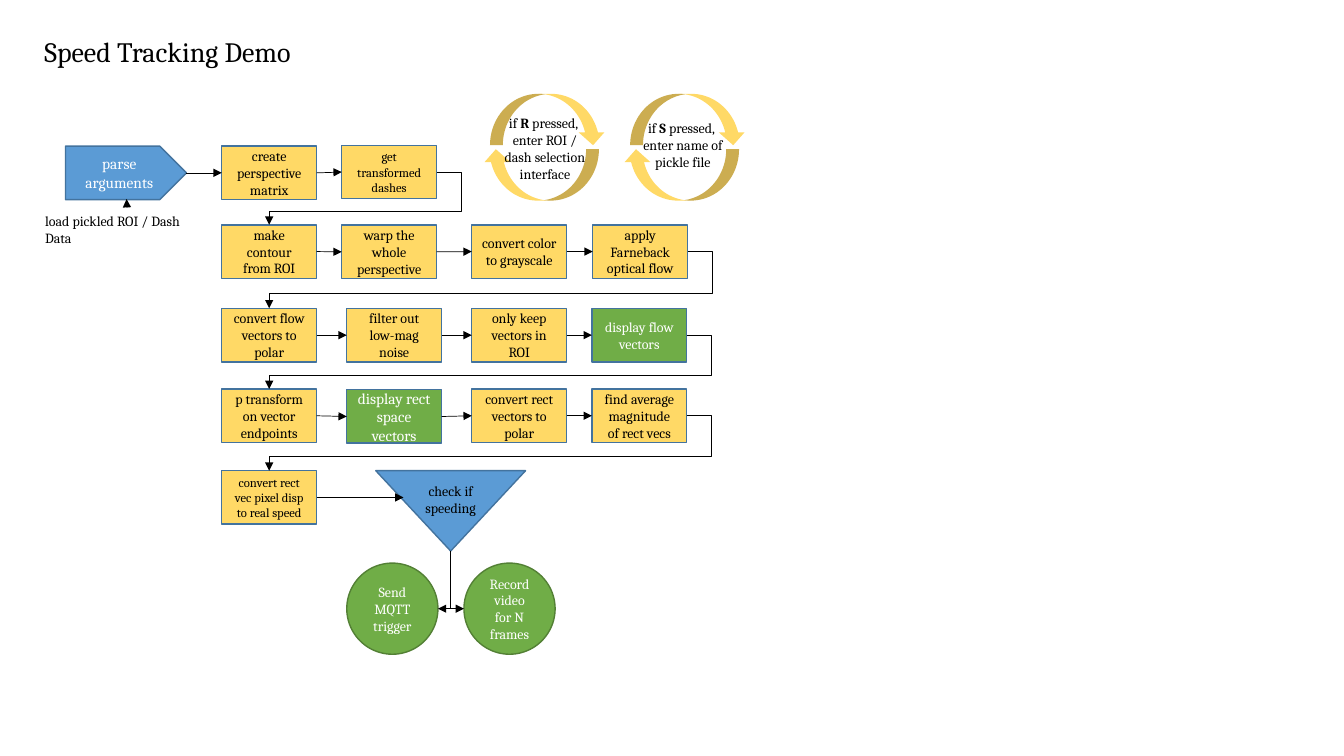
from dataclasses import dataclass

from lxml import etree
from pptx import Presentation
from pptx.dml.color import RGBColor
from pptx.enum.shapes import MSO_CONNECTOR, MSO_SHAPE
from pptx.enum.text import MSO_ANCHOR, PP_ALIGN
from pptx.oxml.ns import qn
from pptx.shapes.autoshape import Shape
from pptx.shapes.connector import Connector
from pptx.text.text import TextFrame
from pptx.util import Pt

BLACK = RGBColor(0x00, 0x00, 0x00)
WHITE = RGBColor(0xFF, 0xFF, 0xFF)
YELLOW = RGBColor(0xFF, 0xD9, 0x66)
GREEN = RGBColor(0x70, 0xAD, 0x47)
DARK_GREEN = RGBColor(0x53, 0x80, 0x35)
BLUE = RGBColor(0x5B, 0x9B, 0xD5)
DARK_BLUE = RGBColor(0x43, 0x73, 0x9E)

RECTANGLE = MSO_SHAPE.RECTANGLE
HOME_PLATE = MSO_SHAPE.PENTAGON
MERGE = MSO_SHAPE.FLOWCHART_MERGE
OVAL = MSO_SHAPE.OVAL
CURVED_ARROW = MSO_SHAPE.CURVED_DOWN_ARROW
STRAIGHT = MSO_CONNECTOR.STRAIGHT
ELBOW = MSO_CONNECTOR.ELBOW
CENTER = PP_ALIGN.CENTER
LEFT = PP_ALIGN.LEFT
MIDDLE = MSO_ANCHOR.MIDDLE
TOP_ANCHOR = MSO_ANCHOR.TOP

TOP, BOTTOM_SIDE, LEFT_SIDE, RIGHT_SIDE = 0, 2, 1, 3
STEP_WIDTH, STEP_HEIGHT = 67.8, 38.2
COLUMNS = [158.4, 247.7, 337, 422.8]
ROW_TOPS = [104.4, 160.6, 220.3, 277.9, 336.2]
OVERHANG = 18


@dataclass
class Node:
    text: str
    preset: MSO_SHAPE
    left: float
    top: float
    width: float
    height: float
    fill: RGBColor
    outline: RGBColor = DARK_BLUE
    color: RGBColor = BLACK
    size: float = 10


@dataclass
class Step:
    text: str
    fill: RGBColor = YELLOW
    size: float = 10
    dx: float = 0
    dy: float = 0


@dataclass
class KeyLoop:
    key: str
    lines: list[str]
    left: float
    text_left: float
    text_top: float
    text_width: float
    text_height: float
    wrap: bool


STEP_ROWS = [
    [Step("create perspective matrix"), Step("get transformed dashes", size=9, dx=-3.6, dy=-0.6)],
    [Step("make contour from ROI"), Step("warp the whole perspective", dx=-3.6, dy=0.2),
     Step("convert color to grayscale"), Step("apply Farneback optical flow", dx=0.6)],
    [Step("convert flow vectors to polar"), Step("filter out low-mag noise"),
     Step("only keep vectors in ROI"), Step("display flow vectors", GREEN)],
    [Step("p transform on vector endpoints"), Step("display rect space vectors", GREEN, 11, dy=0.5),
     Step("convert rect vectors to polar"), Step("find average magnitude of rect vecs")],
    [Step("convert rect vec pixel disp to real speed", size=9)],
]
PARSE = Node("parse arguments", HOME_PLATE, 46.8, 104.4, 86.4, 38.2, BLUE, color=WHITE, size=11)
CHECK = Node("check if speeding", MERGE, 268.4, 336.2, 107, 57.4, BLUE)
OUTCOMES = [
    Node(text, OVAL, left, 402.2, 65.1, 65.1, GREEN, DARK_GREEN, WHITE)
    for text, left in [("Send MQTT trigger", 247.7), ("Record video for N frames", 331.4)]
]
KEY_LOOPS = [
    KeyLoop("R", ["enter ROI /", "dash selection", "interface"], 345, 351.4, 78.6, 75.6, 55.4, False),
    KeyLoop("S", ["enter name of pickle file"], 445.1, 445.7, 82, 84.2, 44, True),
]

prs = Presentation()
prs.slide_width, prs.slide_height = Pt(960), Pt(540)
slide = prs.slides.add_slide(prs.slide_layouts[5])
shapes = slide.shapes


def write(frame: TextFrame, lines: list[list[str]], size: float, color: RGBColor,
          align: PP_ALIGN, anchor: MSO_ANCHOR, wrap: bool = True) -> None:
    frame.word_wrap = wrap
    frame.vertical_anchor = anchor
    font_format = {"name": "Cambria", "size": Pt(size)}
    for index, pieces in enumerate(lines):
        paragraph = frame.add_paragraph() if index else frame.paragraphs[0]
        paragraph.alignment = align
        for position, piece in enumerate(pieces):
            run = paragraph.add_run()
            run.text = piece
            for attribute, value in {**font_format, "bold": position == 1}.items():
                setattr(run.font, attribute, value)
            run.font.color.rgb = color


def add_preset(preset: MSO_SHAPE, left: float, top: float, width: float, height: float,
               fill: RGBColor) -> Shape:
    shape = shapes.add_shape(preset, Pt(left), Pt(top), Pt(width), Pt(height))
    shape.shadow.inherit = False
    shape.fill.solid()
    shape.fill.fore_color.rgb = fill
    return shape


def add_node(node: Node) -> Shape:
    shape = add_preset(node.preset, node.left, node.top, node.width, node.height, node.fill)
    shape.line.color.rgb = node.outline
    shape.line.width = Pt(1)
    write(shape.text_frame, [[node.text]], node.size, node.color, CENTER, MIDDLE)
    return shape


def add_step(step: Step, column: int, row: int) -> Shape:
    return add_node(Node(step.text, RECTANGLE, COLUMNS[column] + step.dx, ROW_TOPS[row] + step.dy,
                         STEP_WIDTH, STEP_HEIGHT, step.fill,
                         color=WHITE if step.fill == GREEN else BLACK, size=step.size))


def add_link(x1: float, y1: float, x2: float, y2: float, kind: MSO_CONNECTOR = STRAIGHT,
             ends: tuple[str, ...] = ("tailEnd",)) -> Connector:
    link = shapes.add_connector(kind, Pt(x1), Pt(y1), Pt(x2), Pt(y2))
    link.line.color.rgb = BLACK
    link.line.width = Pt(0.5)
    properties = link._element.spPr
    for end in ends:
        etree.SubElement(properties.find(qn("a:ln")), qn(f"a:{end}"), type="triangle")
    etree.SubElement(properties, qn("a:effectLst"))
    return link


def join(start: Shape, end: Shape) -> None:
    link = add_link(0, 0, 0, 0)
    link.begin_connect(start, RIGHT_SIDE)
    link.end_connect(end, LEFT_SIDE)


def wrap_to_next_row(start: Shape, end: Shape) -> None:
    link = add_link(0, 0, 0, 0, ELBOW)
    link.begin_connect(start, RIGHT_SIDE)
    link.end_connect(end, TOP)
    half_gap = (end.top - start.top - start.height) / 2
    bends = {"adj1": -Pt(OVERHANG) / link.width, "adj2": 1 - half_gap / link.height}
    geometry = link._element.spPr.find(qn("a:prstGeom"))
    geometry.set("prst", "bentConnector4")
    guides = geometry.find(qn("a:avLst"))
    for guide, share in bends.items():
        etree.SubElement(guides, qn("a:gd"), name=guide, fmla=f"val {round(share * 100000)}")


def add_key_loop(loop: KeyLoop) -> None:
    for dx, top, rotation in [(5, 67, 0), (0, 106.6, 180)]:
        arrow = add_preset(CURVED_ARROW, loop.left + dx, top, 82.8, 36.7, YELLOW)
        arrow.line.fill.background()
        arrow.rotation = rotation
    caption = shapes.add_textbox(Pt(loop.text_left), Pt(loop.text_top),
                                 Pt(loop.text_width), Pt(loop.text_height))
    write(caption.text_frame, [["if ", loop.key, " pressed, "], *([line] for line in loop.lines)],
          10, BLACK, CENTER, TOP_ANCHOR, loop.wrap)


title = shapes.title
for side, length in {"left": 24.5, "top": 20.9, "width": 201.6, "height": 31.5}.items():
    setattr(title, side, Pt(length))
write(title.text_frame, [["Speed Tracking Demo"]], 20, BLACK, LEFT, TOP_ANCHOR)

pickled_data = shapes.add_textbox(Pt(25.2), Pt(148.3), Pt(131), Pt(31.7))
write(pickled_data.text_frame, [["load pickled ROI / Dash Data"]], 10, BLACK, LEFT, TOP_ANCHOR)

for key_loop in KEY_LOOPS:
    add_key_loop(key_loop)

parse_arguments = add_node(PARSE)
speed_check = add_node(CHECK)
speed_check.text_frame.margin_top = Pt(15.6)
for outcome in OUTCOMES:
    add_node(outcome)

rows = [[add_step(step, column, row) for column, step in enumerate(steps)]
        for row, steps in enumerate(STEP_ROWS)]

join(parse_arguments, rows[0][0])
for row in rows:
    for start, end in zip(row, row[1:]):
        join(start, end)
for row, next_row in zip(rows, rows[1:]):
    wrap_to_next_row(row[-1], next_row[0])

load_link = add_link(90.7, 148.3, 90.4, 142.2)
load_link.begin_connect(pickled_data, TOP)
check_link = add_link(226.2, 355.3, 288.2, 355.3)
check_link.begin_connect(rows[-1][0], RIGHT_SIDE)
add_link(321.9, 393.4, 321.9, 435.2, ends=())
add_link(312.8, 434.8, 331.4, 434.8, ends=("headEnd", "tailEnd"))

prs.save("out.pptx")
